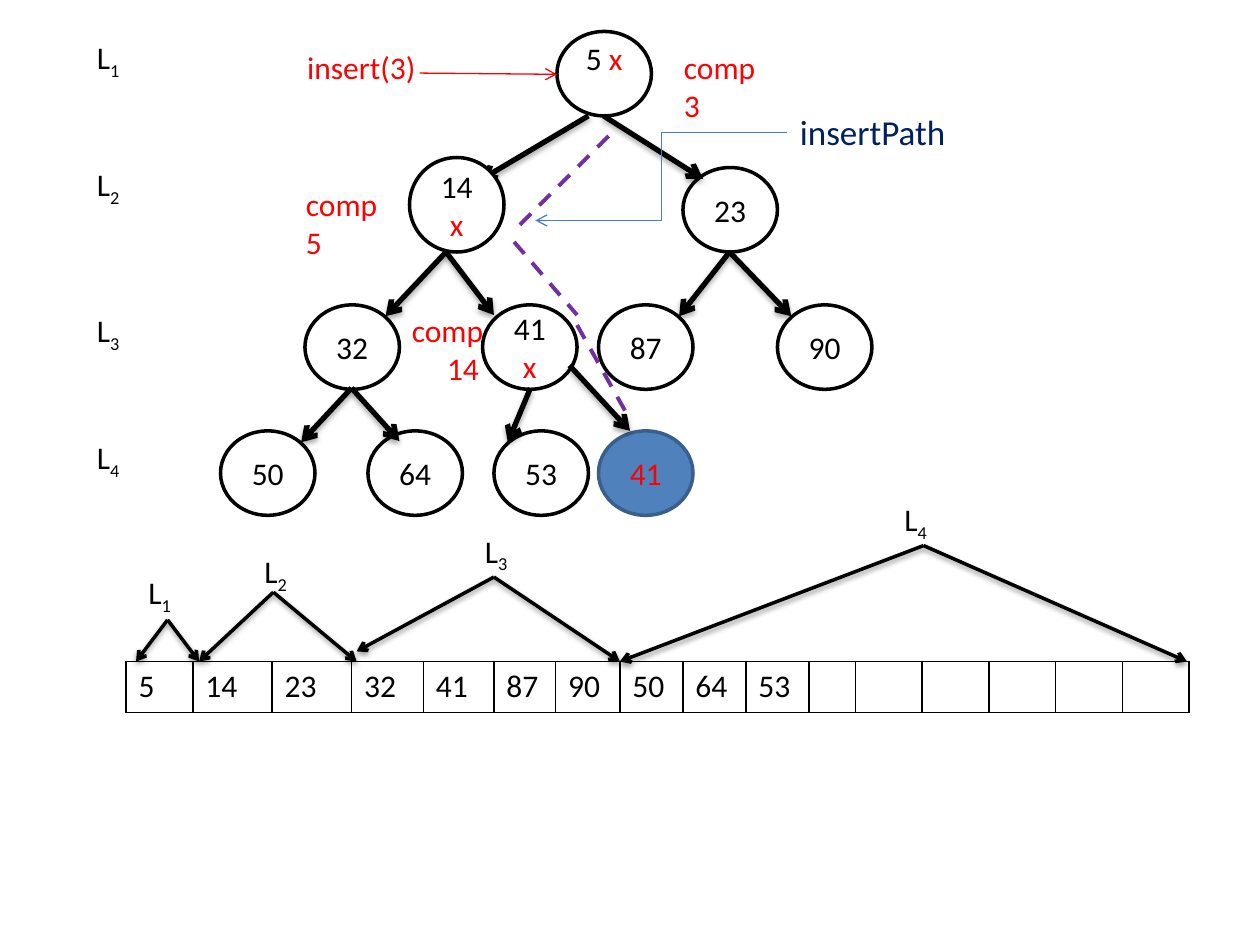
from dataclasses import dataclass

from pptx import Presentation
from pptx.dml.color import RGBColor
from pptx.enum import dml, shapes, text
from pptx.oxml import parse_xml
from pptx.oxml.ns import nsdecls
from pptx.util import Inches, Pt


@dataclass
class Theme:
    """Colours and type sizes of the slide."""
    font: str = "Calibri"
    body: int = 18
    large: int = 20
    black: str = "000000"
    white: str = "FFFFFF"
    red: str = "FF0000"
    navy: str = "002060"
    blue: str = "4F81BD"
    blue_edge: str = "3A5F8C"
    pointer: str = "4B7EBC"
    purple: str = "7030A0"


theme = Theme()
deck = Presentation()
deck.slide_width, deck.slide_height = Inches(10), Inches(7.5)
page = deck.slides.add_slide(deck.slide_layouts[6])


def style(span, color=theme.black, size=theme.body):
    """Set the font of one run."""
    span.font.name = theme.font
    span.font.size = Pt(size)
    span.font.color.rgb = RGBColor.from_string(color)


def draw_line(start, end, color, width, arrow=True, shadow=None, kind="STRAIGHT"):
    """Draw a connector; shadow is (alpha, distance) in drawing units."""
    line = page.shapes.add_connector(
        shapes.MSO_CONNECTOR[kind], *(Inches(value) for value in (*start, *end)))
    line.line.color.rgb = RGBColor.from_string(color)
    line.line.width = Pt(width)
    if arrow:
        line.line._get_or_add_ln().append(
            parse_xml(f'<a:tailEnd {nsdecls("a")} type="arrow"/>'))
    effect = ""
    if shadow:
        alpha, distance = shadow
        effect = (f'<a:outerShdw blurRad="40000" dist="{distance}" dir="5400000" rotWithShape="0">'
                  f'<a:srgbClr val="{theme.black}"><a:alpha val="{alpha}"/></a:srgbClr></a:outerShdw>')
    line._element.spPr.append(
        parse_xml(f'<a:effectLst {nsdecls("a")}>{effect}</a:effectLst>'))
    return line


# Tree: nodes as left, top, height, value, red mark; "edges" marks the drawing order
tree_edges = [
    ((4.67, 0.92), [(3.81, 1.43)]),
    ((4.79, 0.92), [(5.58, 1.42)]),
    ((3.54, 2), [(3.92, 2.5), (3.06, 2.51)]),
    ((5.79, 2), [(5.39, 2.51), (6.28, 2.51)]),
    ((2.79, 3.08), [(2.39, 3.51), (3.17, 3.5)]),
    ((4.21, 3.08), [(4.03, 3.51)]),
    ((4.52, 2.9), [(5, 3.42)]),
]
nodes = [
    (4.42, 0.25, 0.67, "5 ", "x"),
    (5.42, 1.33, 0.67, "23", ""),
    (2.42, 2.42, 0.67, "32", ""),
    (3.83, 2.42, 0.67, "41 ", "x"),
    (4.75, 2.42, 0.67, "87", ""),
    (6.17, 2.42, 0.67, "90", ""),
    (1.75, 3.42, 0.67, "50", ""),
    (2.92, 3.42, 0.67, "64", ""),
    (3.92, 3.42, 0.67, "53", ""),
    (4.75, 3.42, 0.67, "", "41"),
    "edges",
    (3.25, 1.25, 0.75, "14 ", "x"),
]
for node in nodes:
    if node == "edges":
        for start, ends in tree_edges:
            for end in ends:
                draw_line(start, end, theme.black, 3, shadow=(35000, 23000))
        continue
    left, top, height, value, mark = node
    circle = page.shapes.add_shape(
        shapes.MSO_SHAPE.OVAL, Inches(left), Inches(top), Inches(0.75), Inches(height))
    circle.shadow.inherit = False
    inserted = not value
    circle.fill.solid()
    circle.fill.fore_color.rgb = RGBColor.from_string(theme.blue if inserted else theme.white)
    circle.line.color.rgb = RGBColor.from_string(theme.blue_edge if inserted else theme.black)
    circle.line.width = Pt(2)
    frame = circle.text_frame
    frame.vertical_anchor = text.MSO_ANCHOR.MIDDLE
    if value == "5 ":
        frame.margin_bottom = Inches(0.3)
    para = frame.paragraphs[0]
    para.alignment = text.PP_ALIGN.CENTER
    for words, color in ((value, theme.black), (mark, theme.red)):
        if words:
            span = para.add_run()
            span.text = words
            style(span, color)

# Array with one column per heap slot
values = [5, 14, 23, 32, 41, 87, 90, 50, 64, 53]
widths = [0.53, 0.63, 0.63, 0.57, 0.56, 0.49, 0.51, 0.5, 0.5, 0.5, 0.37] + [0.53] * 5
array = page.shapes.add_table(
    1, len(widths), Inches(1), Inches(5.25), Inches(sum(widths)), Inches(0.4)).table
array.first_row = array.horz_banding = False
for index, width in enumerate(widths):
    array.columns[index].width = Inches(width)
    cell = array.cell(0, index)
    if index < len(values):
        cell.text = str(values[index])
        style(cell.text_frame.paragraphs[0].runs[0])
    properties = cell._tc.get_or_add_tcPr()
    for side in ("lnL", "lnR", "lnT", "lnB"):
        properties.append(parse_xml(
            f'<a:{side} {nsdecls("a")} w="{Pt(1)}"><a:solidFill>'
            f'<a:srgbClr val="{theme.black}"/></a:solidFill></a:{side}>'))
    cell.fill.background()

# Spans that tie each level to its array slots
level_spans = [
    ((1.33, 4.92), (1.08, 5.25), (1.58, 5.25)),
    ((2.17, 4.7), (1.58, 5.25), (2.83, 5.25)),
    ((3.92, 4.58), (2.83, 5.17), (4.92, 5.25)),
    ((7.33, 4.33), (4.92, 5.25), (9.42, 5.25)),
]
for peak, *ends in level_spans:
    for end in ends:
        draw_line(peak, end, theme.black, 2, shadow=(38000, 20000))

# Level labels beside the tree and above the array
level_places = [
    [(0.67, 0.25), (1.08, 4.5)],
    [(0.67, 1.26), (2, 4.33)],
    [(0.67, 2.42), (3.75, 4.17)],
    [(0.67, 3.43), (7.08, 3.92)],
]
for level, places in enumerate(level_places, 1):
    for left, top in places:
        box = page.shapes.add_textbox(Inches(left), Inches(top), Inches(0.67), Inches(0.4))
        box.text_frame.word_wrap = True
        para = box.text_frame.paragraphs[0]
        for words in ("L", str(level)):
            span = para.add_run()
            span.text = words
            style(span)
        span.font._element.set("baseline", "-25000")

# Notes on the insertion steps
notes = [
    (2.34, 0.33, 1.07, 0.4, "insert(3)", theme.red, theme.body, 0),
    (5.33, 0.33, 0.77, 0.71, "comp\n3", theme.red, theme.body, 0),
    (2.33, 1.42, 0.77, 0.71, "comp\n5", theme.red, theme.body, 0),
    (3.17, 2.42, 0.77, 0.71, "comp\n14", theme.red, theme.body, 0.28),
    (6.25, 0.83, 1.37, 0.44, "insertPath", theme.navy, theme.large, 0),
]
for left, top, width, height, words, color, size, indent in notes:
    box = page.shapes.add_textbox(Inches(left), Inches(top), Inches(width), Inches(height))
    box.text_frame.word_wrap = False
    box.text_frame.text = words
    for para in box.text_frame.paragraphs:
        style(para.runs[0], color, size)
    if indent:
        para._p.get_or_add_pPr().set("marL", str(Inches(indent)))

# Pointers and the dashed insert path
draw_line((3.33, 0.58), (4.42, 0.59), theme.red, 0.75)
insert_path = [
    ((4.83, 1.08), (4.08, 1.83)),
    ((4.08, 1.92), (4.58, 2.5)),
    ((4.58, 2.58), (5, 3.33)),
]
for start, end in insert_path:
    dashed = draw_line(start, end, theme.purple, 2.25, arrow=False)
    dashed.line.dash_style = dml.MSO_LINE.DASH
draw_line((6.25, 1.05), (4.25, 1.75), theme.pointer, 0.75, kind="ELBOW")

deck.save("out.pptx")
